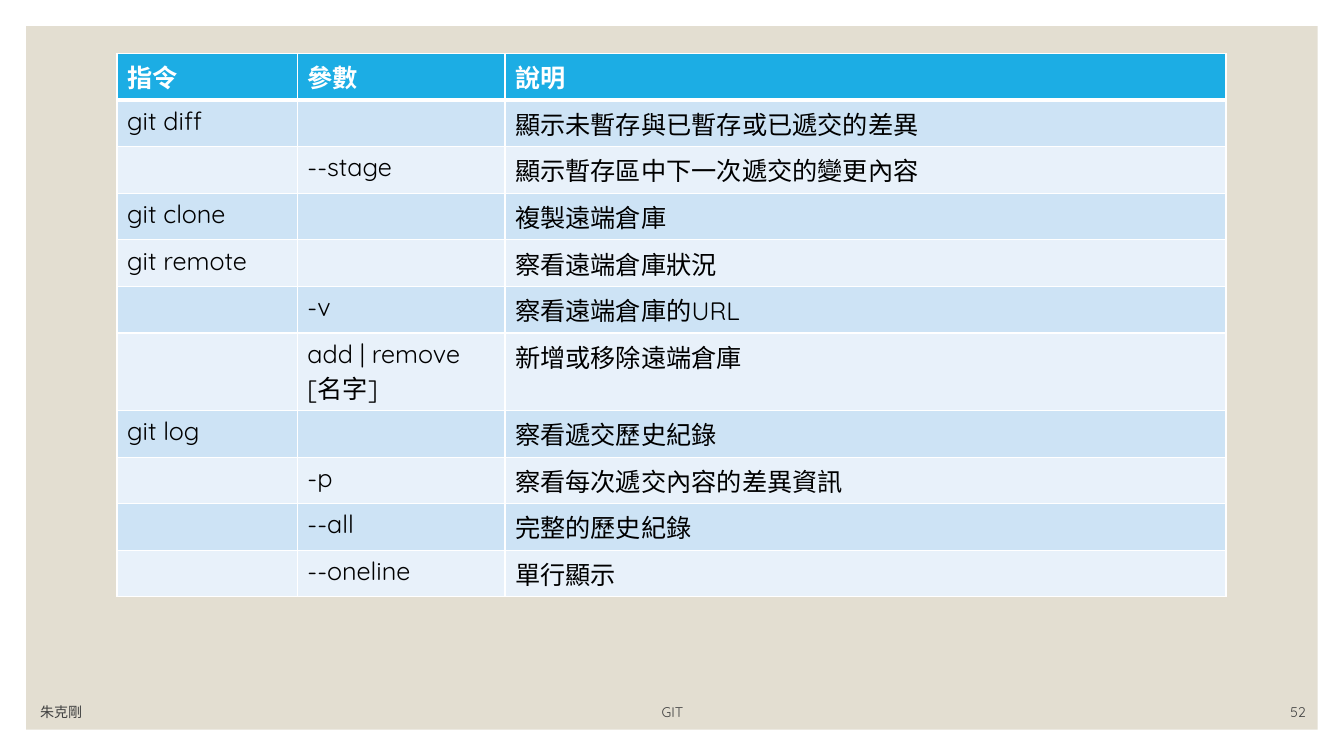
"""Build the slide with a table of git commands."""
from lxml import etree
from pptx import Presentation, util as u
from pptx.dml.color import RGBColor
from pptx.enum import shapes, text
from pptx.oxml.ns import qn

WHITE = RGBColor(0xFF, 0xFF, 0xFF)
BLACK = RGBColor(0, 0, 0)
GREY = RGBColor(0x40, 0x40, 0x40)
SAND = RGBColor(0xE3, 0xDE, 0xD1)
BLUE = RGBColor(0x1C, 0xAD, 0xE4)
BANDS = (RGBColor(0xE8, 0xF1, 0xFA), RGBColor(0xCD, 0xE3, 0xF5))
FACE = "Quicksand"
SCALE = 9144

ROWS = [
    ("指令", "參數", "說明"),
    ("git diff", "", "顯示未暫存與已暫存或已遞交的差異"),
    ("", "--stage", "顯示暫存區中下一次遞交的變更內容"),
    ("git clone", "", "複製遠端倉庫"),
    ("git remote", "", "察看遠端倉庫狀況"),
    ("", "-v", "察看遠端倉庫的URL"),
    ("", "add | remove [名字]", "新增或移除遠端倉庫"),
    ("git log", "", "察看遞交歷史紀錄"),
    ("", "-p", "察看每次遞交內容的差異資訊"),
    ("", "--all", "完整的歷史紀錄"),
    ("", "--oneline", "單行顯示"),
]
WIDTHS = (179, 206, 715)
HIGH, TALL = 46.25, 77
WRAPPED = (6, 1)
FOOT = [
    ("朱克剛", 30, 300, text.PP_ALIGN.LEFT),
    ("GIT", 382, 570, text.PP_ALIGN.CENTER),
    ("52", 1145, 160, text.PP_ALIGN.RIGHT),
]
HEAD = dict(size=u.Pt(18), bold=True, name=FACE)
BODY = dict(HEAD, bold=False)
SMALL = dict(size=u.Pt(10), name=FACE)


def px(*sizes):
    return [u.Emu(int(size * SCALE)) for size in sizes]


def write(frame, words, style, color):
    para = frame.paragraphs[0]
    run = para.add_run()
    run.text = words
    for key, value in style.items():
        setattr(run.font, key, value)
    run.font.color.rgb = color
    east = etree.SubElement(run.font._element, qn("a:ea"))
    east.set("typeface", FACE)
    return para


def edge(cell, row):
    props = cell._tc.get_or_add_tcPr()
    points = dict(L=1, R=1, T=3 if row == 1 else 1, B=3 if row == 0 else 1)
    for spot, (side, width) in enumerate(points.items()):
        line = etree.Element(qn("a:ln" + side), w=str(u.Pt(width)))
        fill = etree.SubElement(line, qn("a:solidFill"))
        etree.SubElement(fill, qn("a:srgbClr"), val=str(WHITE))
        props.insert(spot, line)


def main():
    deck = Presentation()
    deck.slide_width, deck.slide_height = px(1333, 750)
    slide = deck.slides.add_slide(deck.slide_layouts[6])

    panel = slide.shapes.add_shape(shapes.MSO_SHAPE.RECTANGLE, *px(26, 26, 1281, 698))
    panel.shadow.inherit = False
    panel.fill.solid()
    panel.fill.fore_color.rgb = SAND
    panel.line.fill.background()

    heights = [TALL if row == WRAPPED[0] else HIGH for row in range(len(ROWS))]
    area = px(116, 53, sum(WIDTHS), sum(heights))
    table = slide.shapes.add_table(len(ROWS), len(WIDTHS), *area).table
    for column, width in zip(table.columns, px(*WIDTHS)):
        column.width = width
    for line, height in zip(table.rows, px(*heights)):
        line.height = height
    for row, items in enumerate(ROWS):
        for col, words in enumerate(items):
            cell = table.cell(row, col)
            cell.fill.solid()
            cell.fill.fore_color.rgb = BANDS[row % 2] if row else BLUE
            edge(cell, row)
            if not words:
                continue
            style, color = (BODY, BLACK) if row else (HEAD, WHITE)
            para = write(cell.text_frame, words, style, color)
            if (row, col) == WRAPPED:
                para.line_spacing = 1.1
                cell.margin_top, cell.margin_bottom = px(2, 2)
            elif not words.isascii():
                cell.margin_top, cell.margin_bottom = px(9, 3)

    for words, left, width, align in FOOT:
        frame = slide.shapes.add_textbox(*px(left, 690, width, 30)).text_frame
        frame.word_wrap = True
        frame.vertical_anchor = text.MSO_ANCHOR.BOTTOM
        write(frame, words, SMALL, GREY).alignment = align

    deck.save("out.pptx")


if __name__ == "__main__":
    main()
